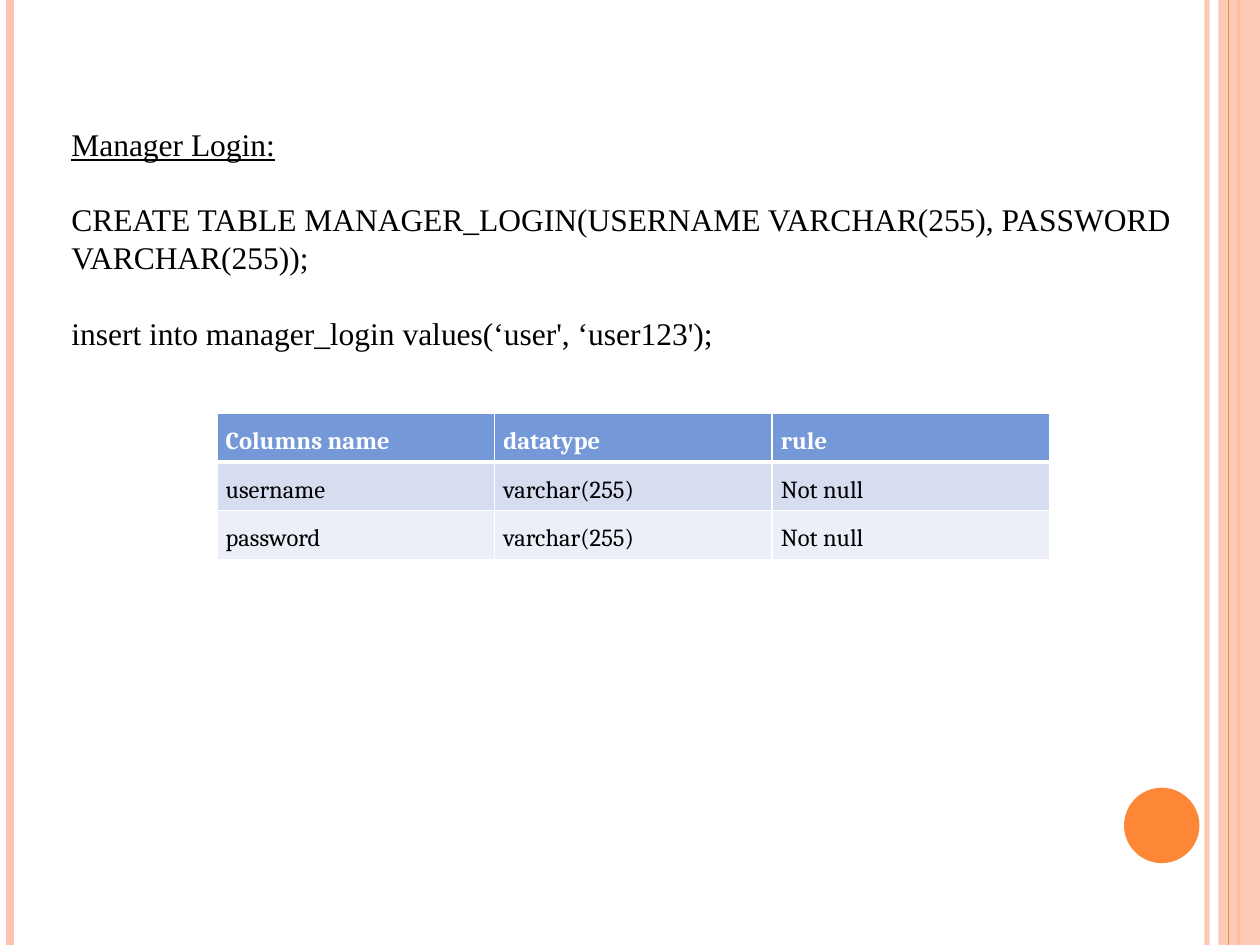
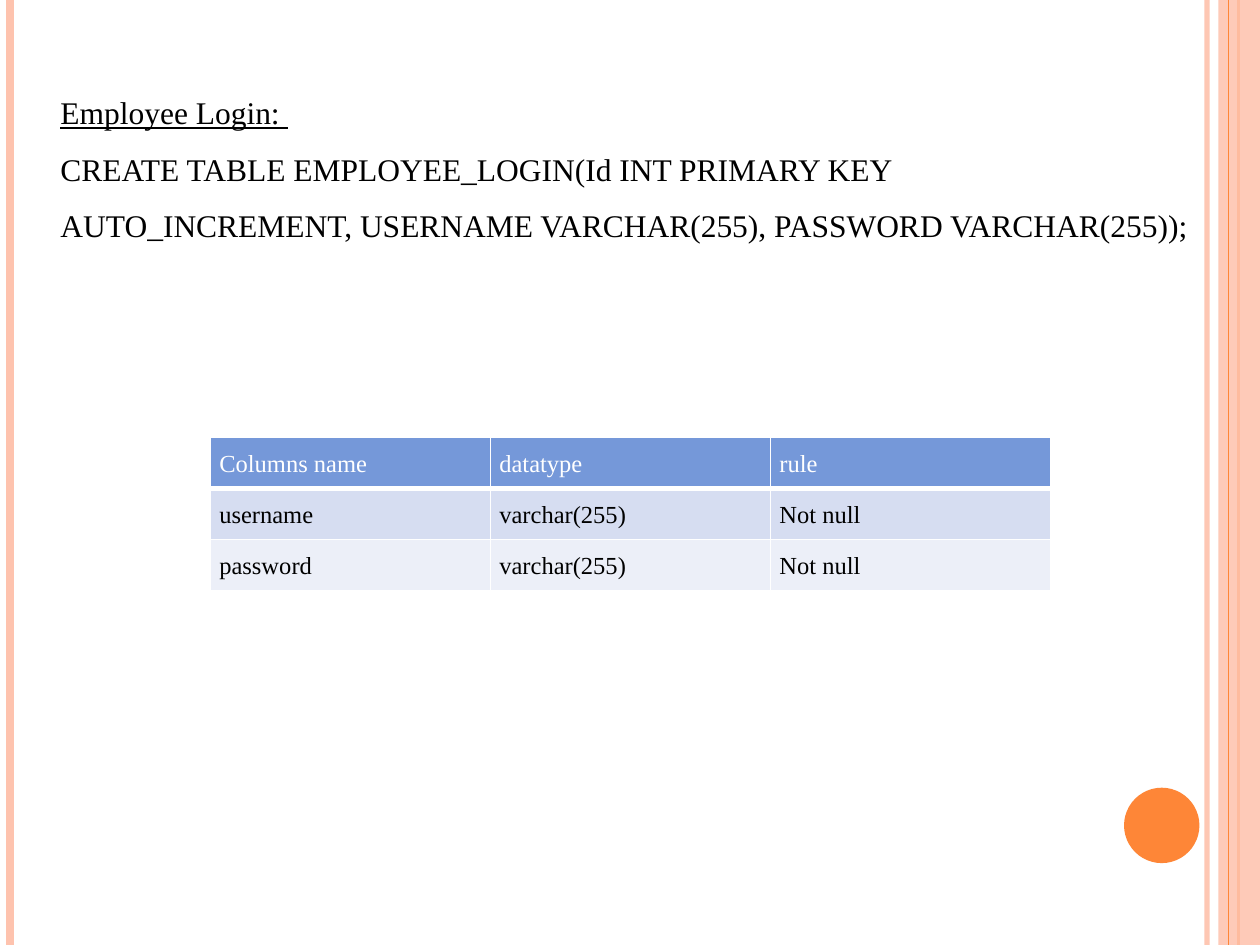
import pptx
import pptx.dml.color
import pptx.enum.shapes
import pptx.enum.text
import pptx.oxml
import pptx.util
from lxml import etree
from pptx.util import Cm, Pt

SLIDE_WIDTH, SLIDE_HEIGHT = 25.4, 19.05
PEACH, ORANGE, WHITE, BLACK = "FEC3AE", "FE8637", "FFFFFF", "000000"
HEADER_FILL, ROW_FILLS = "7598D9", ("D6DDF1", "ECEFF8")
BODY_FONT = "Times New Roman"
JUSTIFIED = {
    "alignment": pptx.enum.text.PP_ALIGN.JUSTIFY,
    "line_spacing": 1.5,
}
LOGIN_COLUMNS = (
    ("Columns name", "datatype", "rule"),
    ("username", "varchar(255)", "Not null"),
    ("password", "varchar(255)", "Not null"),
)


def colour(value):
    return pptx.dml.color.RGBColor.from_string(value)


def apply(target, values):
    for name, value in values.items():
        setattr(target, name, value)


def set_opacity(part, percent):
    for tone in part.element.spPr.iter(pptx.oxml.ns.qn("a:srgbClr")):
        alpha = etree.SubElement(tone, pptx.oxml.ns.qn("a:alpha"))
        alpha.set("val", str(percent * 1000))


def add_rule(slide, left, tone, width):
    rule = slide.shapes.add_connector(
        pptx.enum.shapes.MSO_CONNECTOR.STRAIGHT,
        Cm(left), Cm(0), Cm(left), Cm(SLIDE_HEIGHT))
    rule.line.color.rgb = colour(tone)
    rule.line.width = Pt(width)
    etree.SubElement(rule.element.spPr, pptx.oxml.ns.qn("a:effectLst"))
    return rule


def add_plain_shape(slide, kind, box, tone):
    shape = slide.shapes.add_shape(kind, *map(Cm, box))
    shape.shadow.inherit = False
    shape.fill.solid()
    shape.fill.fore_color.rgb = colour(tone)
    shape.line.fill.background()
    return shape


def add_frame(slide):
    kinds = pptx.enum.shapes.MSO_SHAPE
    set_opacity(add_rule(slide, 24.33, PEACH, 3), 93)
    add_rule(slide, 0.2, PEACH, 4.5)
    add_rule(slide, 24.97, ORANGE, 1.5)
    band = add_plain_shape(slide, kinds.RECTANGLE, (24.56, 0, 0.84, SLIDE_HEIGHT), PEACH)
    set_opacity(band, 87)
    add_rule(slide, 24.77, ORANGE, 0.75)
    add_plain_shape(slide, kinds.OVAL, (22.66, 15.88, 1.52, 1.52), ORANGE)


def add_span(para, text, size, tone, **font_values):
    span = para.add_run()
    span.text = text
    apply(span.font, {"name": BODY_FONT, "size": Pt(size), **font_values})
    span.font.color.rgb = colour(tone)


def add_statements(slide, box, heading, statements, para_values):
    frame = slide.shapes.add_textbox(*map(Cm, box)).text_frame
    frame.word_wrap = True
    para = frame.paragraphs[0]
    apply(para, para_values)
    for text, font_values in heading:
        add_span(para, text, 18, BLACK, underline=True, **font_values)
    for statement in statements:
        para = frame.add_paragraph()
        apply(para, para_values)
        add_span(para, statement, 18, BLACK)


def set_borders(cell, widths):
    for side, width in widths.items():
        border = etree.SubElement(
            cell._tc.get_or_add_tcPr(), pptx.oxml.ns.qn(f"a:ln{side}"), w=str(Pt(width)))
        fill = etree.SubElement(border, pptx.oxml.ns.qn("a:solidFill"))
        etree.SubElement(fill, pptx.oxml.ns.qn("a:srgbClr"), val=WHITE)


def add_column_table(slide, box, font, header_bold):
    table = slide.shapes.add_table(
        len(LOGIN_COLUMNS), len(LOGIN_COLUMNS[0]), *map(Cm, box)).table
    for row, texts in enumerate(LOGIN_COLUMNS):
        is_header = row == 0
        for column, text in enumerate(texts):
            cell = table.cell(row, column)
            apply(cell, {"margin_left": Cm(0.18), "margin_right": Cm(0.18),
                         "margin_top": 0, "margin_bottom": 0})
            set_borders(cell, {"L": 1, "R": 1, "T": 3 if row == 1 else 1,
                               "B": 3 if is_header else 1})
            cell.fill.solid()
            cell.fill.fore_color.rgb = colour(HEADER_FILL if is_header else ROW_FILLS[row - 1])
            para = cell.text_frame.paragraphs[0]
            apply(para, JUSTIFIED)
            add_span(para, text, 14, WHITE if is_header else BLACK,
                     name=font, bold=is_header and header_bold)


def add_login_slide(deck, statements, table):
    slide = deck.slides.add_slide(deck.slide_layouts[6])
    add_frame(slide)
    add_statements(slide, **statements)
    add_column_table(slide, **table)


def main():
    deck = pptx.Presentation()
    apply(deck, {"slide_width": Cm(SLIDE_WIDTH), "slide_height": Cm(SLIDE_HEIGHT)})
    add_login_slide(
        deck,
        {
            "box": (1.19, 2.39, 22.81, 11.02),
            "heading": [("Manager Login:", {})],
            "statements": (
                "CREATE TABLE MANAGER_LOGIN(USERNAME VARCHAR(255), PASSWORD VARCHAR(255));",
                "insert into manager_login values(‘user', ‘user123');",
            ),
            "para_values": {"space_after": Pt(21.6)},
        },
        {"box": (4.37, 8.33, 16.79, 2.95), "font": "Cambria", "header_bold": True},
    )
    add_login_slide(
        deck,
        {
            "box": (0.97, 1.37, 23.47, 14.88),
            "heading": [("Employee Login:", {}), (" ", {"bold": True})],
            "statements": (
                "CREATE TABLE EMPLOYEE_LOGIN(Id INT PRIMARY KEY ",
                "AUTO_INCREMENT, USERNAME VARCHAR(255), PASSWORD VARCHAR(255));",
            ),
            "para_values": JUSTIFIED,
        },
        {"box": (4.24, 8.81, 16.94, 3.1), "font": BODY_FONT, "header_bold": False},
    )
    deck.save("out.pptx")


if __name__ == "__main__":
    main()
